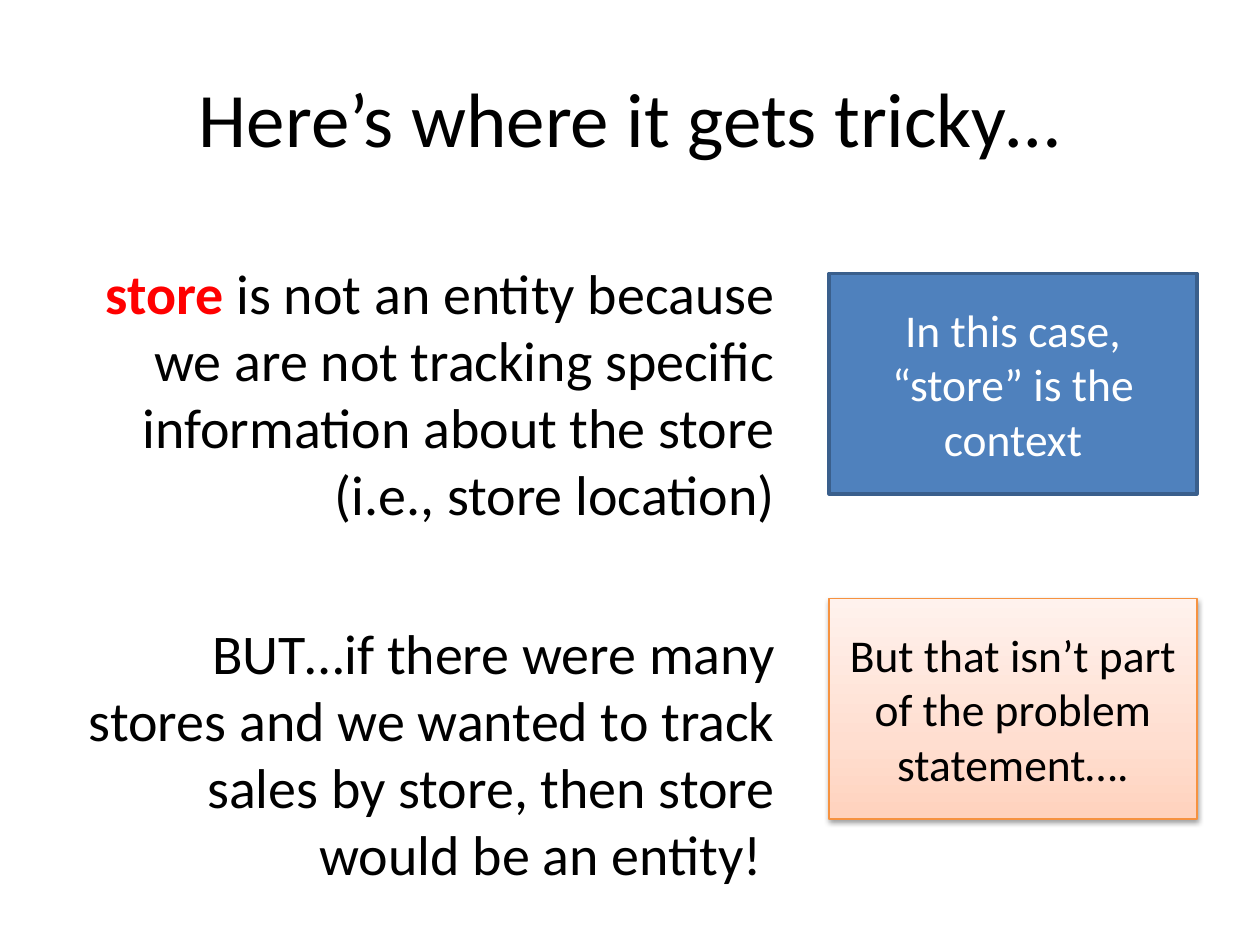
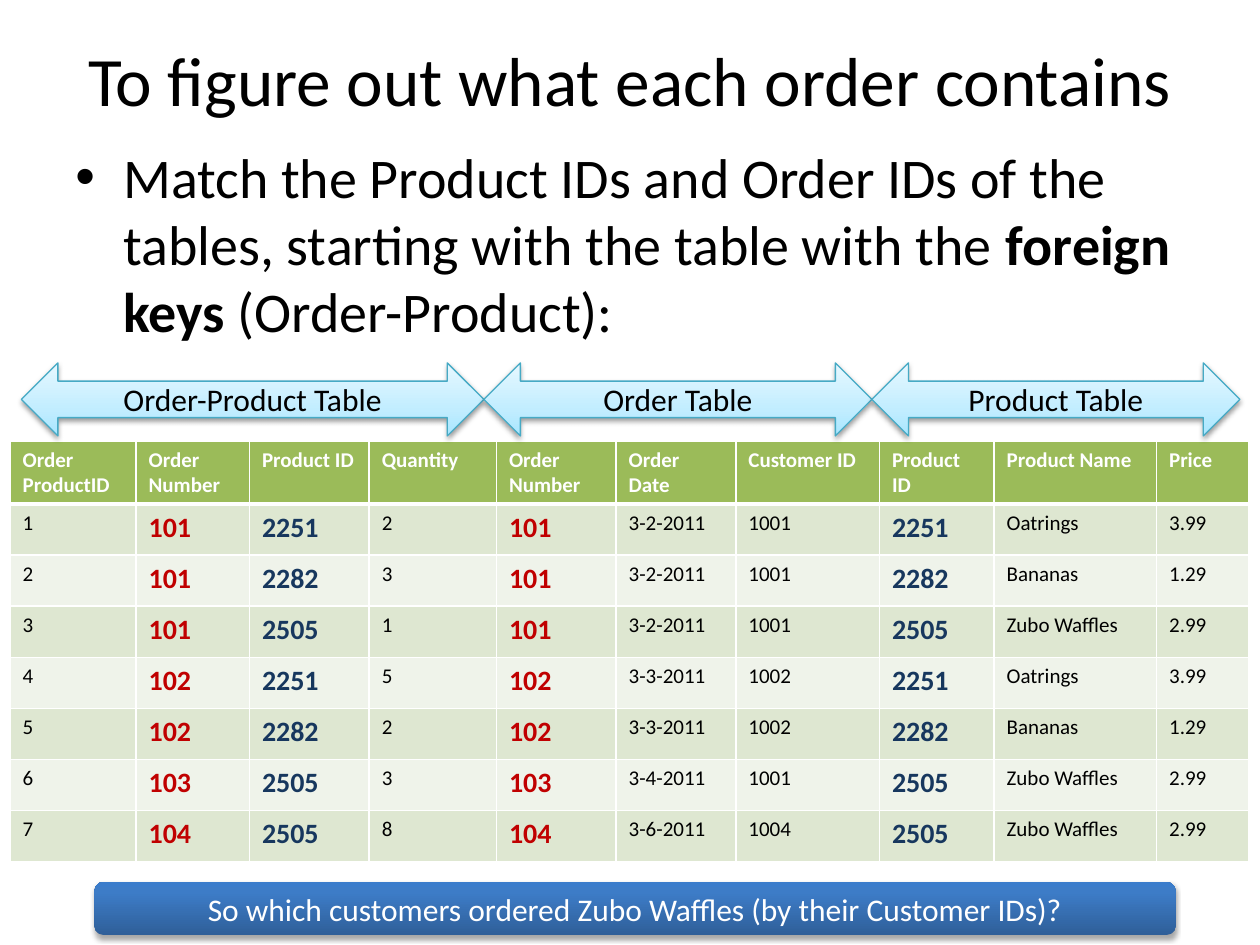
from lxml.etree import SubElement
from pptx import Presentation
from pptx.dml.color import RGBColor
from pptx.enum.shapes import MSO_SHAPE
from pptx.enum.text import MSO_ANCHOR, PP_ALIGN
from pptx.oxml.ns import qn
from pptx.util import Inches, Pt

FONT = "Calibri"
COLORS = {
    "black": "000000", "white": "FFFFFF", "red": "FF0000",
    "blue": "4F81BD", "blue_line": "3A5F8C",
    "orange_line": "F69240", "aqua_line": "46AAC5",
    "header": "9BBB59", "band_dark": "DEE7D1", "band_light": "EFF3EA",
    "order_key": "C00000", "product_key": "17375E",
}
# Gradient stops run from the bottom of the shape to the top.
GRADIENTS = {
    "orange": [(0, "FFD2BD"), (35, "FFDED0"), (100, "FFF2ED")],
    "aqua": [(0, "A7E6FF"), (35, "C1EDFF"), (100, "E7F8FF")],
    "button": [(0, "2F5F99"), (80, "3D7CC7"), (100, "3A7CCB")],
}
HEADERS = ["Order ProductID", "Order Number", "Product ID", "Quantity",
           "Order Number", "Order Date", "Customer ID",
           "Product ID", "Product Name", "Price"]
COL_WIDTHS = [1, 0.9, 0.95, 1.01, 0.95, 0.95, 1.14, 0.91, 1.29, 0.73]
KEY_COLUMNS = {1: "order_key", 2: "product_key", 4: "order_key", 7: "product_key"}
ORDERS = {"101": ("3-2-2011", "1001"), "102": ("3-3-2011", "1002"),
          "103": ("3-4-2011", "1001"), "104": ("3-6-2011", "1004")}
PRODUCTS = {"2251": ("Oatrings", "3.99"), "2282": ("Bananas", "1.29"),
            "2505": ("Zubo Waffles", "2.99")}
ORDER_PRODUCTS = [("101", "2251", "2"), ("101", "2282", "3"), ("101", "2505", "1"),
                  ("102", "2251", "5"), ("102", "2282", "2"),
                  ("103", "2505", "3"), ("104", "2505", "8")]


def rgb(name):
    return RGBColor.from_string(COLORS[name])


def add_run(p, text, size, color="black", bold=False):
    r = p.add_run()
    r.text = text
    for name, value in {"name": FONT, "size": Pt(size), "bold": bold}.items():
        setattr(r.font, name, value)
    r.font.color.rgb = rgb(color)


def add_text_box(slide, left, top, width, height, anchor=MSO_ANCHOR.TOP):
    box = slide.shapes.add_textbox(*map(Inches, (left, top, width, height)))
    tf = box.text_frame
    tf.word_wrap = True
    tf.vertical_anchor = anchor
    return tf


def add_title(slide, text, top, size):
    tf = add_text_box(slide, 0.5, top, 9, 1.25, MSO_ANCHOR.MIDDLE)
    p = tf.paragraphs[0]
    p.alignment = PP_ALIGN.CENTER
    add_run(p, text, size)


def add_body_paragraph(p, runs, space_before, align=PP_ALIGN.LEFT):
    p.alignment = align
    p.space_before = Pt(space_before)
    for text, color, bold in runs:
        add_run(p, text, 32, color, bold)


def add_bullet(p, indent):
    pPr = p._p.get_or_add_pPr()
    pPr.set("marL", str(Inches(indent)))
    pPr.set("indent", str(-Inches(indent)))
    SubElement(pPr, qn("a:buFont"), typeface="Arial")
    SubElement(pPr, qn("a:buChar"), char="•")


def fill_gradient(sp, stops):
    sp.fill.gradient()
    sp.fill.gradient_angle = 90
    gs_list = sp._element.spPr.find(qn("a:gradFill")).find(qn("a:gsLst"))
    for gs in list(gs_list):
        gs_list.remove(gs)
    for pos, color in stops:
        gs = SubElement(gs_list, qn("a:gs"), pos=str(pos * 1000))
        SubElement(gs, qn("a:srgbClr"), val=color)


def add_shadow(sp, alpha, distance):
    effects = sp._element.spPr.find(qn("a:effectLst"))
    shadow = SubElement(effects, qn("a:outerShdw"), blurRad=str(Pt(3.1)),
                        dist=str(Pt(distance)), dir="5400000", rotWithShape="0")
    color = SubElement(shadow, qn("a:srgbClr"), val=COLORS["black"])
    SubElement(color, qn("a:alpha"), val=str(alpha * 1000))


def add_label_shape(slide, kind, box, text, size, color="black", fill=None,
                    gradient=None, line=None, line_width=0.75, shadow=(38, 1.6)):
    """Add a shape with centred text; shadow is (opacity %, distance in points)."""
    sp = slide.shapes.add_shape(kind, *map(Inches, box))
    sp.shadow.inherit = False
    if gradient:
        fill_gradient(sp, GRADIENTS[gradient])
    else:
        sp.fill.solid()
        sp.fill.fore_color.rgb = rgb(fill)
    if line:
        sp.line.color.rgb = rgb(line)
        sp.line.width = Pt(line_width)
    else:
        sp.line.fill.background()
    if shadow:
        add_shadow(sp, *shadow)
    tf = sp.text_frame
    tf.word_wrap = True
    tf.vertical_anchor = MSO_ANCHOR.MIDDLE
    p = tf.paragraphs[0]
    p.alignment = PP_ALIGN.CENTER
    add_run(p, text, size, color)


def set_borders(cell, **widths):
    tcPr = cell._tc.get_or_add_tcPr()
    for side, width in widths.items():
        ln = SubElement(tcPr, qn(f"a:ln{side}"), w=str(Pt(width)))
        fill = SubElement(ln, qn("a:solidFill"))
        SubElement(fill, qn("a:srgbClr"), val=COLORS["white"])


def fill_cell(cell, text, fill, top, bottom, **font):
    set_borders(cell, L=1, R=1, T=top, B=bottom)
    cell.fill.solid()
    cell.fill.fore_color.rgb = rgb(fill)
    add_run(cell.text_frame.paragraphs[0], text, **font)


def add_joined_table(slide):
    """Add the three tables joined on order number and product ID."""
    rows = [(str(i), order, product, quantity, order, *ORDERS[order],
             product, *PRODUCTS[product])
            for i, (order, product, quantity) in enumerate(ORDER_PRODUCTS, 1)]
    header_height, rows_height = 0.5, 2.84
    table = slide.shapes.add_table(
        len(rows) + 1, len(HEADERS), Inches(0.08), Inches(3.5),
        Inches(sum(COL_WIDTHS)), Inches(header_height + rows_height)).table
    for col, width in zip(table.columns, COL_WIDTHS):
        col.width = Inches(width)
    table.rows[0].height = Inches(header_height)
    for c, text in enumerate(HEADERS):
        fill_cell(table.cell(0, c), text, "header", 1, 3,
                  size=12, color="white", bold=True)
    for i, values in enumerate(rows, 1):
        table.rows[i].height = Inches(rows_height / len(rows))
        band = "band_dark" if i % 2 else "band_light"
        for c, text in enumerate(values):
            is_key = c in KEY_COLUMNS
            fill_cell(table.cell(i, c), text, band, 3 if i == 1 else 1, 1,
                      size=16 if is_key else 12,
                      color=KEY_COLUMNS.get(c, "black"), bold=is_key)


def add_table_arrows(slide):
    left = 0.17
    for name, width in [("Order-Product", 3.67), ("Order", 3.08), ("Product", 2.92)]:
        add_label_shape(slide, MSO_SHAPE.LEFT_RIGHT_ARROW, (left, 2.88, width, 0.58),
                        f"{name} Table", 18, gradient="aqua", line="aqua_line")
        left += width


def build_tricky_slide(slide):
    add_title(slide, "Here’s where it gets tricky…", 0.3, 44)
    tf = add_text_box(slide, 0.58, 2, 5.67, 4.95)
    add_body_paragraph(tf.paragraphs[0], [
        ("store ", "red", True),
        ("is not an entity because we are not tracking specific information "
         "about the store (i.e., store location)", "black", False),
    ], 3, PP_ALIGN.RIGHT)
    add_body_paragraph(tf.add_paragraph(), [
        ("BUT…if there were many stores and we wanted to track sales by store, "
         "then store would be an entity! ", "black", False),
    ], 52, PP_ALIGN.RIGHT)
    add_label_shape(slide, MSO_SHAPE.RECTANGLE, (6.58, 2.17, 2.92, 1.75),
                    "In this case, “store” is the context", 26, "white",
                    fill="blue", line="blue_line", line_width=2, shadow=None)
    add_label_shape(slide, MSO_SHAPE.RECTANGLE, (6.58, 4.75, 2.92, 1.75),
                    "But that isn’t part of the problem statement….", 26,
                    gradient="orange", line="orange_line")


def build_order_slide(slide):
    add_title(slide, "To figure out what each order contains", 0, 39.6)
    p = add_text_box(slide, 0.5, 1.08, 9.17, 5.33).paragraphs[0]
    add_body_paragraph(p, [
        ("Match the Product IDs and Order IDs of the tables, starting with "
         "the table with the ", "black", False),
        ("foreign keys ", "black", True),
        ("(Order-Product):", "black", False),
    ], 3)
    add_bullet(p, 0.38)
    add_joined_table(slide)
    add_table_arrows(slide)
    add_label_shape(slide, MSO_SHAPE.ROUNDED_RECTANGLE, (0.75, 7, 8.58, 0.42),
                    "So which customers ordered Zubo Waffles (by their Customer IDs)?",
                    18, "white", gradient="button", shadow=(35, 1.8))


def main():
    prs = Presentation()
    prs.slide_width, prs.slide_height = Inches(10), Inches(7.5)
    blank = prs.slide_layouts[6]
    for build in (build_tricky_slide, build_order_slide):
        build(prs.slides.add_slide(blank))
    prs.save("out.pptx")


if __name__ == "__main__":
    main()
